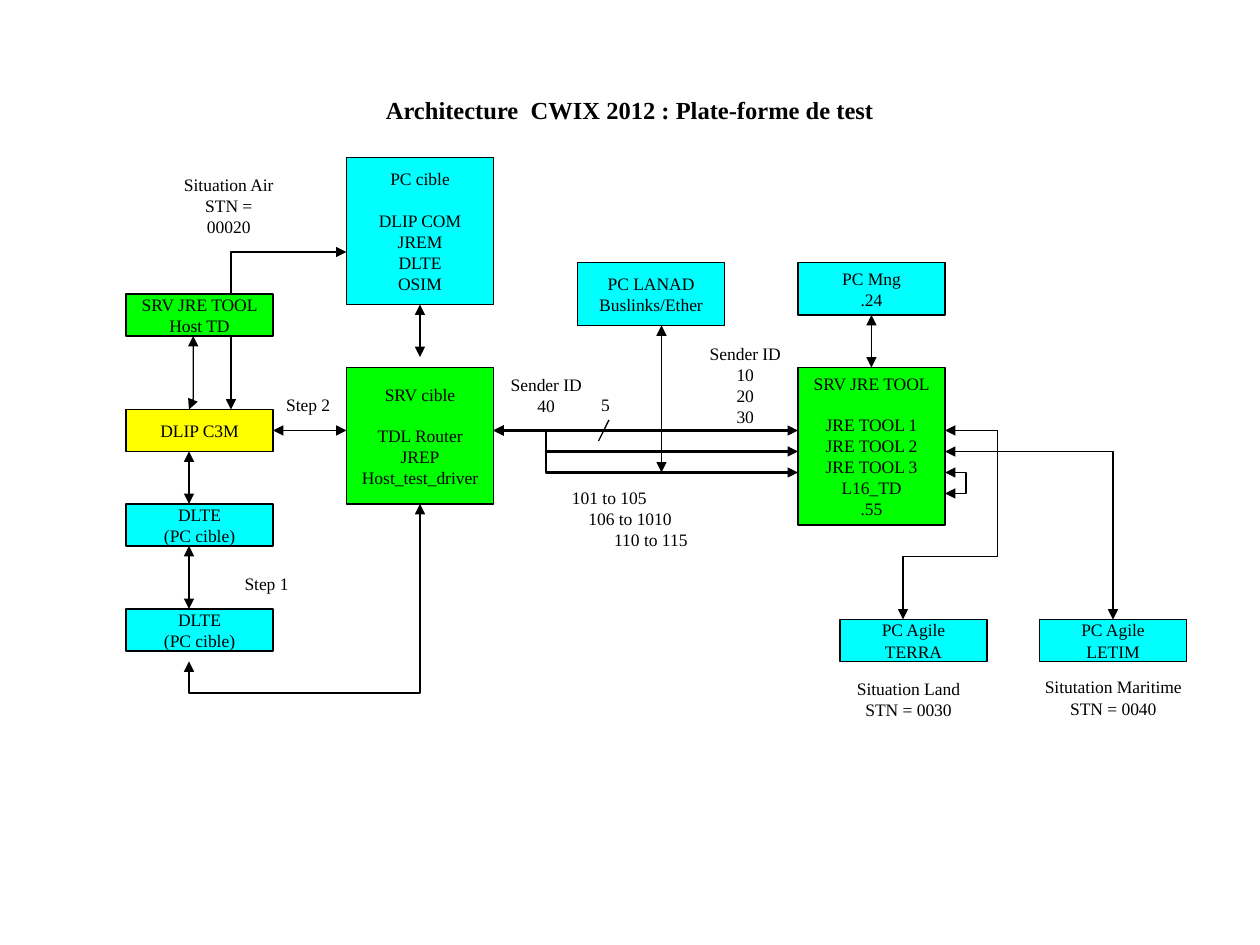
from dataclasses import dataclass

from lxml.etree import SubElement
from pptx import Presentation
from pptx.dml.color import RGBColor
from pptx.enum.shapes import MSO_CONNECTOR, MSO_SHAPE
from pptx.enum.text import MSO_ANCHOR, MSO_AUTO_SIZE, PP_ALIGN
from pptx.oxml.ns import qn
from pptx.util import Inches, Pt


@dataclass(frozen=True)
class Theme:
    font: str = "Times New Roman"
    ink: str = "000000"
    station: str = "00FFFF"
    server: str = "00FF00"
    processor: str = "FFFF00"
    title_size: float = 14
    body_size: float = 10
    section_gap: float = 11.5
    thin: float = 0.75
    thick: float = 1.5


THEME = Theme()
CELLS_PER_INCH = 12
BOX_WIDTH = 14
LINE_HEIGHT = 0.17
INSET = 0.05

TITLE = "Architecture  CWIX 2012 : Plate-forme de test"

# Each box: left, top, height in grid cells, colour, heading lines, detail lines
BOXES = [
    (12, 39, 4, THEME.processor, ["DLIP C3M"], []),
    (33, 15, 14, THEME.station, ["PC cible"], ["DLIP COM", "JREM", "DLTE", "OSIM"]),
    (33, 35, 13, THEME.server, ["SRV cible"], ["TDL Router", "JREP", "Host_test_driver"]),
    (12, 58, 4, THEME.station, ["DLTE", "(PC cible)"], []),
    (12, 48, 4, THEME.station, ["DLTE", "(PC cible)"], []),
    (76, 35, 15, THEME.server, ["SRV JRE TOOL"],
     ["JRE TOOL 1", "JRE TOOL 2", "JRE TOOL 3", "L16_TD", ".55"]),
    (76, 25, 5, THEME.station, ["PC Mng", ".24"], []),
    (80, 59, 4, THEME.station, ["PC Agile", "TERRA"], []),
    (99, 59, 4, THEME.station, ["PC Agile", "LETIM"], []),
    (55, 25, 6, THEME.station, ["PC LANAD", "Buslinks/Ether"], []),
    (12, 28, 4, THEME.server, ["SRV JRE TOOL", "Host TD"], []),
]

AIR_ROUTE = [(22, 39), (22, 24), (33, 24)]

THICK_ROUTES = [
    [(47, 41), (76, 41)],
    [(47, 41), (52, 41), (52, 45), (76, 45)],
    [(47, 41), (52, 41), (52, 43), (76, 43)],
]

THIN_ROUTES = [
    [(40, 29), (40, 34)],
    [(90, 41), (95, 41), (95, 53), (86, 53), (86, 59)],
    [(90, 43), (106, 43), (106, 59)],
    [(90, 45), (92, 45), (92, 47), (90, 47)],
    [(63, 31), (63, 45)],
    [(83, 30), (83, 35)],
    [(26, 41), (33, 41)],
    [(18.4, 32), (18.4, 38), (18, 39)],
    [(18, 43), (18, 48)],
    [(18, 52), (18, 58)],
    [(18, 63), (18, 66), (40, 66), (40, 48)],
]

BUS_MARK = [(58, 40), (57, 42)]

LABELS = [
    (4.44, 3.82, 0.79, ["101 to 105"]),
    (4.57, 3.98, 0.86, ["106 to 1010"]),
    (4.77, 4.15, 0.79, ["110 to 115"]),
    (4.67, 3.08, 0.27, ["5"]),
    (6.7, 5.33, 1.02, ["Situation Land", "STN = 0030"]),
    (8.19, 5.32, 1.29, ["Situtation Maritime", "STN = 0040"]),
    (1.34, 1.33, 0.95, ["Situation Air", "STN = 00020"]),
    (1.84, 4.5, 0.55, ["Step 1"]),
    (2.17, 3.08, 0.55, ["Step 2"]),
    (5.5, 2.67, 0.83, ["Sender ID", "10", "20", "30"]),
    (3.92, 2.92, 0.83, ["Sender ID", "40"]),
]


def cell(count):
    return Inches(count / CELLS_PER_INCH)


def write(shape, lines, size=THEME.body_size, bold=False, anchor=MSO_ANCHOR.MIDDLE):
    frame = shape.text_frame
    frame.text = "\n".join(lines)
    frame.vertical_anchor = anchor
    for paragraph in frame.paragraphs:
        paragraph.alignment = PP_ALIGN.CENTER
        for run in paragraph.runs:
            run.font.name = THEME.font
            run.font.size = Pt(size)
            run.font.bold = bold
            run.font.color.rgb = RGBColor.from_string(THEME.ink)
    return frame


def outline(shape, width=THEME.thin):
    shape.line.color.rgb = RGBColor.from_string(THEME.ink)
    shape.line.width = Pt(width)


def add_box(shapes, left, top, height, colour, heading, details):
    box = shapes.add_shape(
        MSO_SHAPE.RECTANGLE, cell(left), cell(top), cell(BOX_WIDTH), cell(height))
    box.shadow.inherit = False
    box.fill.solid()
    box.fill.fore_color.rgb = RGBColor.from_string(colour)
    outline(box)
    frame = write(box, heading + details)
    frame.word_wrap = True
    if details:
        frame.paragraphs[len(heading)].space_before = Pt(THEME.section_gap)
    middle, centre = top + height / 2, left + BOX_WIDTH / 2
    sides = [(centre, top), (left, middle), (centre, top + height), (left + BOX_WIDTH, middle)]
    return {point: (box, side) for side, point in enumerate(sides)}


def add_route(shapes, route, docks, width=THEME.thin, arrows=True):
    points = [(cell(x), cell(y)) for x, y in route]
    if len(points) == 2:
        path_shape = shapes.add_connector(MSO_CONNECTOR.STRAIGHT, *points[0], *points[1])
        for point, connect in zip(route, (path_shape.begin_connect, path_shape.end_connect)):
            if point in docks:
                connect(*docks[point])
    else:
        builder = shapes.build_freeform(*points[0], scale=1.0)
        builder.add_line_segments(points[1:], close=False)
        path_shape = builder.convert_to_shape()
        path_shape.fill.background()
    outline(path_shape, width)
    properties = path_shape._element.spPr
    if arrows:
        for end in ("a:headEnd", "a:tailEnd"):
            SubElement(properties.find(qn("a:ln")), qn(end), type="triangle")
    SubElement(properties, qn("a:effectLst"))


def add_label(shapes, left, top, width, lines):
    height = LINE_HEIGHT * len(lines) + 2 * INSET
    label = shapes.add_textbox(Inches(left), Inches(top), Inches(width), Inches(height))
    frame = write(label, lines, anchor=MSO_ANCHOR.TOP)
    frame.word_wrap = False
    frame.auto_size = MSO_AUTO_SIZE.SHAPE_TO_FIT_TEXT


def main():
    presentation = Presentation()
    presentation.slide_width, presentation.slide_height = Inches(10), Inches(7.5)
    shapes = presentation.slides.add_slide(presentation.slide_layouts[6]).shapes

    docks = {}
    add_route(shapes, AIR_ROUTE, docks)
    heading = shapes.add_textbox(cell(9), cell(8), cell(102), cell(5))
    write(heading, [TITLE], THEME.title_size, bold=True).word_wrap = True
    for box in BOXES:
        docks.update(add_box(shapes, *box))
    for route in THICK_ROUTES:
        add_route(shapes, route, docks, THEME.thick)
    for route in THIN_ROUTES:
        add_route(shapes, route, docks)
    add_route(shapes, BUS_MARK, docks, arrows=False)
    for label in LABELS:
        add_label(shapes, *label)

    presentation.save("out.pptx")


if __name__ == "__main__":
    main()
